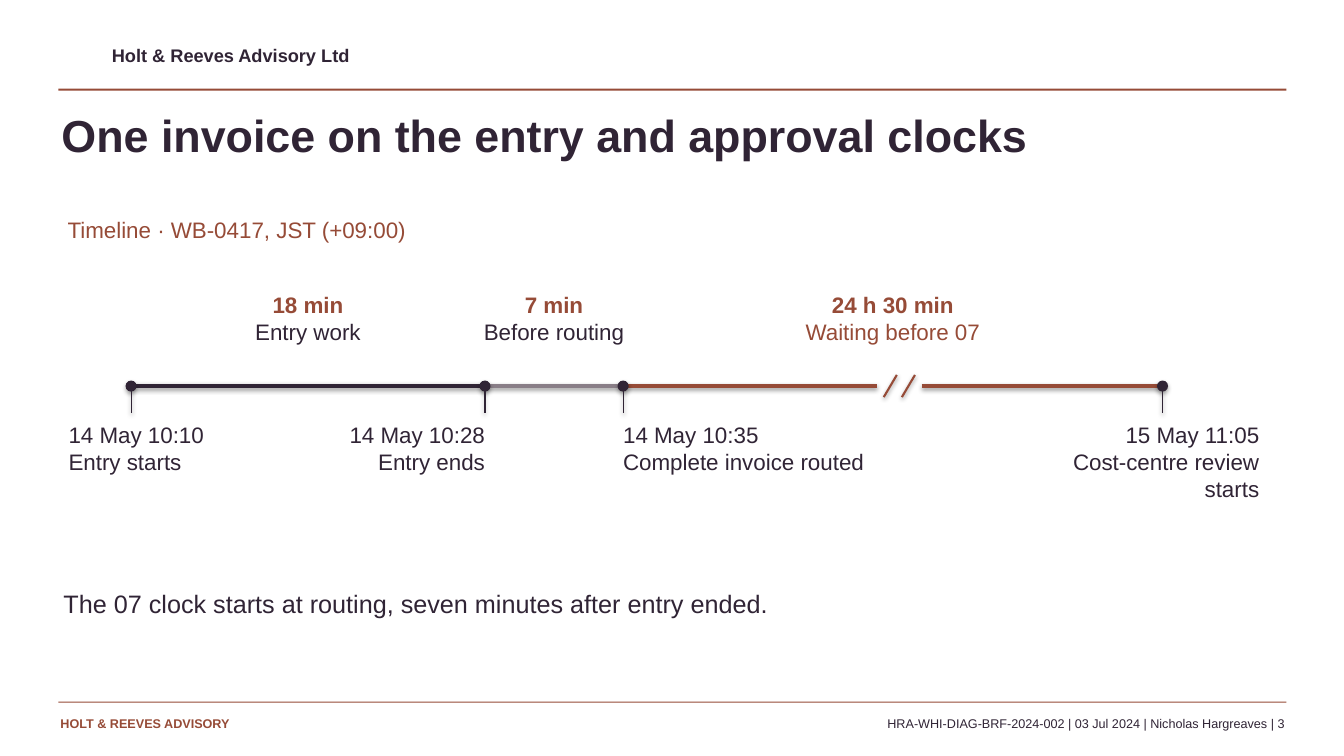
import pptx
import pptx.util
import pptx.dml.color
import pptx.enum.shapes
import pptx.enum.text
from dataclasses import dataclass

Inches = pptx.util.Inches
Shape = pptx.enum.shapes.MSO_SHAPE
Align = pptx.enum.text.PP_ALIGN


@dataclass(frozen=True)
class Theme:
    font: str = "Arial"
    ink: str = "302435"
    rust: str = "964B37"
    mauve: str = "897E87"
    title: int = 32
    body: int = 18
    label: int = 16
    company: int = 13
    footer: int = 9


THEME = Theme()

TITLE = "One invoice on the entry and approval clocks"
COMPANY = "Holt & Reeves Advisory Ltd"
SUBTITLE = "Timeline · WB-0417, JST (+09:00)"
TAKEAWAY = "The 07 clock starts at routing, seven minutes after entry ended."
FOOTER_LEFT = "HOLT & REEVES ADVISORY"
FOOTER_RIGHT = "HRA-WHI-DIAG-BRF-2024-002 | 03 Jul 2024 | Nicholas Hargreaves | 3"

# x on the axis, time, event, label left, label width, alignment
EVENTS = [
    (1.30, "14 May 10:10", "Entry starts", 0.68, 2.00, Align.LEFT),
    (4.81, "14 May 10:28", "Entry ends", 2.52, 2.29, Align.RIGHT),
    (6.18, "14 May 10:35", "Complete invoice routed", 6.18, 2.59, Align.LEFT),
    (11.53, "15 May 11:05", "Cost-centre review starts", 10.18, 2.31, Align.RIGHT),
]
# duration, activity, activity colour, line colour; one per gap between events
INTERVALS = [
    ("18 min", "Entry work", THEME.ink, THEME.ink),
    ("7 min", "Before routing", THEME.ink, THEME.mauve),
    ("24 h 30 min", "Waiting before 07", THEME.rust, THEME.rust),
]

AXIS_Y = 3.83
BREAK_X, BREAK_WIDTH = 8.92, 0.44
SLASH_OFFSET, SLASH_WIDTH, SLASH_HEIGHT = 0.09, 0.13, 0.22
DOT = 0.11
TICK_TOP, TICK_BOTTOM = 3.88, 4.10
INTERVAL_TOP, INTERVAL_WIDTH, INTERVAL_HEIGHT = 2.89, 2.36, 0.85
EVENT_TOP, EVENT_HEIGHT = 4.18, 0.90
RULE_LEFT, RULE_WIDTH = 0.58, 12.18


def rgb(colour):
    return pptx.dml.color.RGBColor.from_string(colour)


def write(box, lines, align=Align.LEFT):
    """Fill a box with lines given as (text, size, colour, bold)."""
    frame = box.text_frame
    settings = {
        "margin_left": 0, "margin_top": 0, "margin_right": 0, "margin_bottom": 0,
        "word_wrap": True,
        "auto_size": pptx.enum.text.MSO_AUTO_SIZE.NONE,
        "vertical_anchor": pptx.enum.text.MSO_ANCHOR.TOP,
    }
    for name, value in settings.items():
        setattr(frame, name, value)
    for index, (text, size, colour, bold) in enumerate(lines):
        para = frame.add_paragraph() if index else frame.paragraphs[0]
        para.alignment = align
        span = para.add_run()
        span.text = text
        font = {"name": THEME.font, "size": pptx.util.Pt(size), "bold": bold}
        for name, value in font.items():
            setattr(span.font, name, value)
        span.font.color.rgb = rgb(colour)


def add_text(page, left, top, width, height, lines, align=Align.LEFT):
    box = page.shapes.add_textbox(*map(Inches, (left, top, width, height)))
    write(box, lines, align)


def add_filled(page, kind, left, top, width, height, colour, shadow=False):
    shape = page.shapes.add_shape(kind, *map(Inches, (left, top, width, height)))
    shape.fill.solid()
    shape.fill.fore_color.rgb = rgb(colour)
    shape.line.fill.background()
    if not shadow:
        shape.shadow.inherit = False


def add_line(page, x1, y1, x2, y2, colour, weight):
    """Add a straight line that keeps the soft shadow of the theme."""
    line = page.shapes.add_connector(
        pptx.enum.shapes.MSO_CONNECTOR.STRAIGHT, *map(Inches, (x1, y1, x2, y2)))
    line.line.color.rgb = rgb(colour)
    line.line.width = pptx.util.Pt(weight)


def add_frame(page):
    """Add the header, the title and the footer."""
    add_text(page, 1.11, 0.44, 6, 0.27, [(COMPANY, THEME.company, THEME.ink, True)])
    for top, height in ((0.88, 0.02), (6.96, 0.01)):
        add_filled(page, Shape.RECTANGLE, RULE_LEFT, top, RULE_WIDTH, height, THEME.rust)
    title = page.shapes.title
    place = {"left": 0.61, "top": 1.07, "width": 12, "height": 0.78}
    for name, value in place.items():
        setattr(title, name, Inches(value))
    write(title, [(TITLE, THEME.title, THEME.ink, True)])
    add_text(page, 0.60, 7.10, 3.40, 0.25,
             [(FOOTER_LEFT, THEME.footer, THEME.rust, True)])
    add_text(page, 4.12, 7.10, 8.62, 0.25,
             [(FOOTER_RIGHT, THEME.footer, THEME.ink, False)], Align.RIGHT)


def add_intervals(page):
    break_start = BREAK_X - BREAK_WIDTH / 2
    break_end = BREAK_X + BREAK_WIDTH / 2
    stops = [event[0] for event in EVENTS]
    for start, end, interval in zip(stops, stops[1:], INTERVALS):
        duration, activity, activity_colour, line_colour = interval
        pieces = [(start, end)]
        if start < BREAK_X < end:
            pieces = [(start, break_start), (break_end, end)]
        for piece_start, piece_end in pieces:
            add_line(page, piece_start, AXIS_Y, piece_end, AXIS_Y, line_colour, 3)
        add_text(page, (start + end - INTERVAL_WIDTH) / 2, INTERVAL_TOP,
                 INTERVAL_WIDTH, INTERVAL_HEIGHT,
                 [(duration, THEME.label, THEME.rust, True),
                  (activity, THEME.label, activity_colour, False)], Align.CENTER)
    for centre in (BREAK_X - SLASH_OFFSET, BREAK_X + SLASH_OFFSET):
        add_line(page, centre - SLASH_WIDTH / 2, AXIS_Y + SLASH_HEIGHT / 2,
                 centre + SLASH_WIDTH / 2, AXIS_Y - SLASH_HEIGHT / 2, THEME.rust, 1.5)


def add_events(page):
    for x, time, event, left, width, align in EVENTS:
        add_filled(page, Shape.OVAL, x - DOT / 2, AXIS_Y - DOT / 2, DOT, DOT,
                   THEME.ink, shadow=True)
        add_line(page, x, TICK_TOP, x, TICK_BOTTOM, THEME.ink, 0.8)
        add_text(page, left, EVENT_TOP, width, EVENT_HEIGHT,
                 [(line, THEME.label, THEME.ink, False) for line in (time, event)],
                 align)


def main():
    deck = pptx.Presentation()
    deck.slide_width, deck.slide_height = Inches(13.33), Inches(7.5)
    page = deck.slides.add_slide(deck.slide_layouts.get_by_name("Title Only"))
    add_frame(page)
    add_text(page, 0.67, 2.14, 11.80, 0.36,
             [(SUBTITLE, THEME.label, THEME.rust, False)])
    add_intervals(page)
    add_events(page)
    add_text(page, 0.63, 5.84, 11.94, 0.80,
             [(TAKEAWAY, THEME.body, THEME.ink, False)])
    deck.save("out.pptx")


if __name__ == "__main__":
    main()
